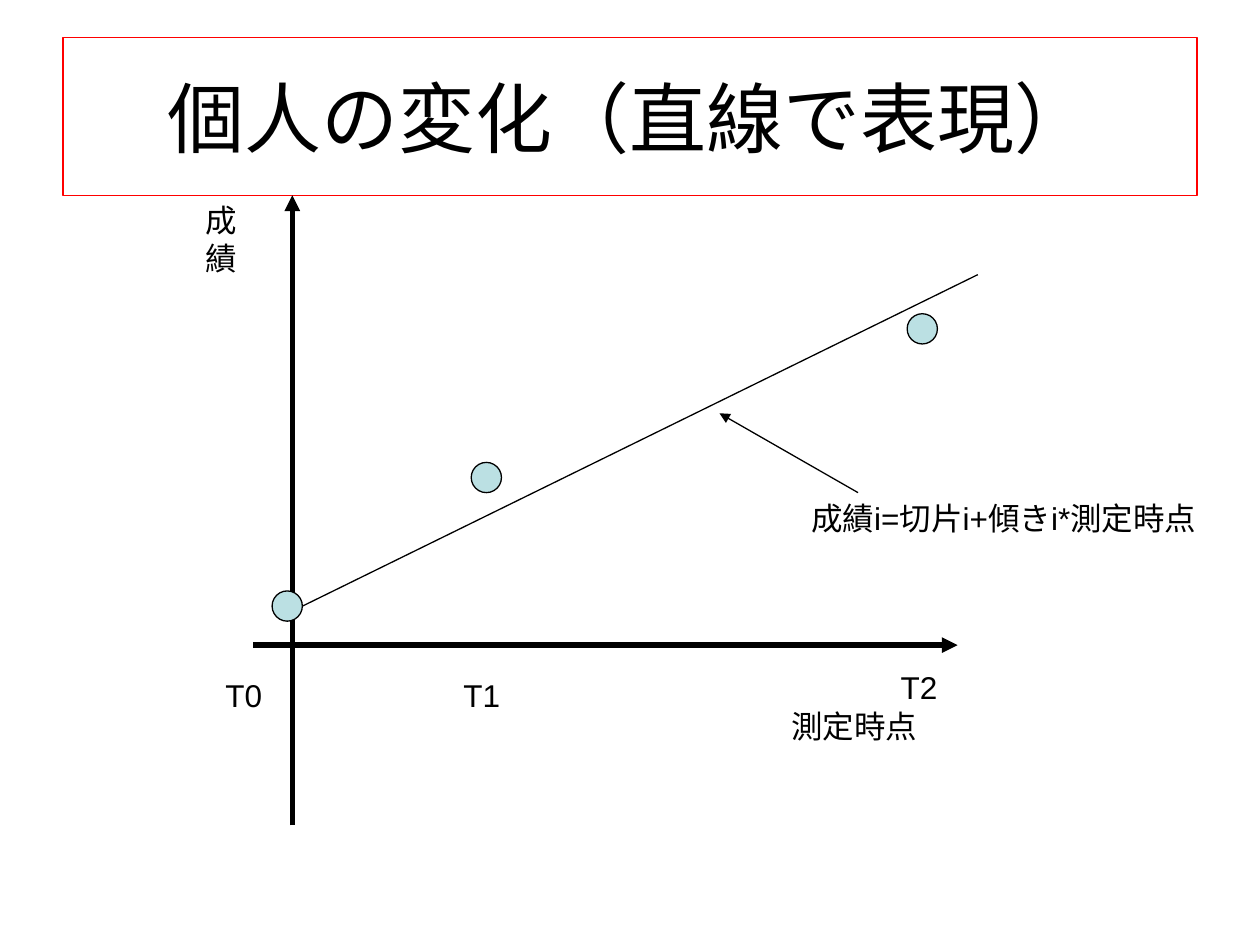
"""Build a slide showing one person's change over time as a straight line."""
from lxml import etree
from pptx import Presentation
from pptx.dml.color import RGBColor
from pptx.enum import shapes, text
from pptx.oxml.ns import qn
from pptx.util import Inches, Pt

THEME = {
    "font": "Arial",
    "ink": RGBColor.from_string("000000"),
    "frame": RGBColor.from_string("FF0000"),
    "dot": RGBColor.from_string("BBE0E3"),
    "title_size": 44,
    "label_size": 18,
    "thin": 0.75,
    "thick": 3,
}

TITLE = ("個人の変化（直線で表現）", (0.5, 0.3, 9, 1.25))
LABELS = [
    ("測定時点", (6.18, 5.56, 1.5, 0.4)),
    ("成績", (1.53, 1.55, 0.52, 0.7)),
    ("成績i=切片i+傾きi*測定時点", (6.34, 3.91, 3.47, 0.7)),
    ("T0", (1.69, 5.32, 0.71, 0.4)),
    ("T1", (3.58, 5.32, 0.71, 0.4)),
    ("T2", (7.05, 5.25, 0.71, 0.4)),
]
AXIS_X, AXIS_Y = 2.32, 5.12
LINES = [
    ((AXIS_X, 6.55), (AXIS_X, 1.55), "thick", True),
    ((AXIS_X, 4.85), (7.76, 2.18), "thin", False),
    ((2.01, AXIS_Y), (7.6, AXIS_Y), "thick", True),
    ((6.81, 3.91), (5.71, 3.28), "thin", True),
]
DOT_SIZE = 0.24
DOT_CORNERS = [(3.74, 3.67), (7.2, 2.49), (2.16, 4.69)]


def add_text(page, wording, place, size):
    box = page.shapes.add_textbox(*map(Inches, place))
    frame = box.text_frame
    frame.word_wrap = True
    frame.text = wording
    font = frame.paragraphs[0].runs[0].font
    font.name = THEME["font"]
    font.size = Pt(size)
    font.color.rgb = THEME["ink"]
    return box


def add_title(page):
    box = add_text(page, *TITLE, THEME["title_size"])
    box.line.color.rgb = THEME["frame"]
    box.line.width = Pt(THEME["thin"])
    box.text_frame.vertical_anchor = text.MSO_ANCHOR.MIDDLE
    box.text_frame.paragraphs[0].alignment = text.PP_ALIGN.CENTER


def add_line(page, start, end, weight, arrow):
    line = page.shapes.add_connector(
        shapes.MSO_CONNECTOR.STRAIGHT, *map(Inches, start + end))
    line.line.color.rgb = THEME["ink"]
    line.line.width = Pt(THEME[weight])
    properties = line._element.spPr
    if arrow:
        etree.SubElement(properties.find(qn("a:ln")), qn("a:tailEnd"), type="triangle")
    etree.SubElement(properties, qn("a:effectLst"))


def add_dot(page, left, top):
    dot = page.shapes.add_shape(
        shapes.MSO_SHAPE.OVAL, *map(Inches, (left, top, DOT_SIZE, DOT_SIZE)))
    dot.shadow.inherit = False
    dot.fill.solid()
    dot.fill.fore_color.rgb = THEME["dot"]
    dot.line.color.rgb = THEME["ink"]
    dot.line.width = Pt(THEME["thin"])


def main():
    deck = Presentation()
    deck.slide_width, deck.slide_height = Inches(10), Inches(7.5)
    page = deck.slides.add_slide(deck.slide_layouts[6])
    add_title(page)
    for line in LINES:
        add_line(page, *line)
    for corner in DOT_CORNERS:
        add_dot(page, *corner)
    for wording, place in LABELS:
        add_text(page, wording, place, THEME["label_size"])
    deck.save("out.pptx")


if __name__ == "__main__":
    main()
